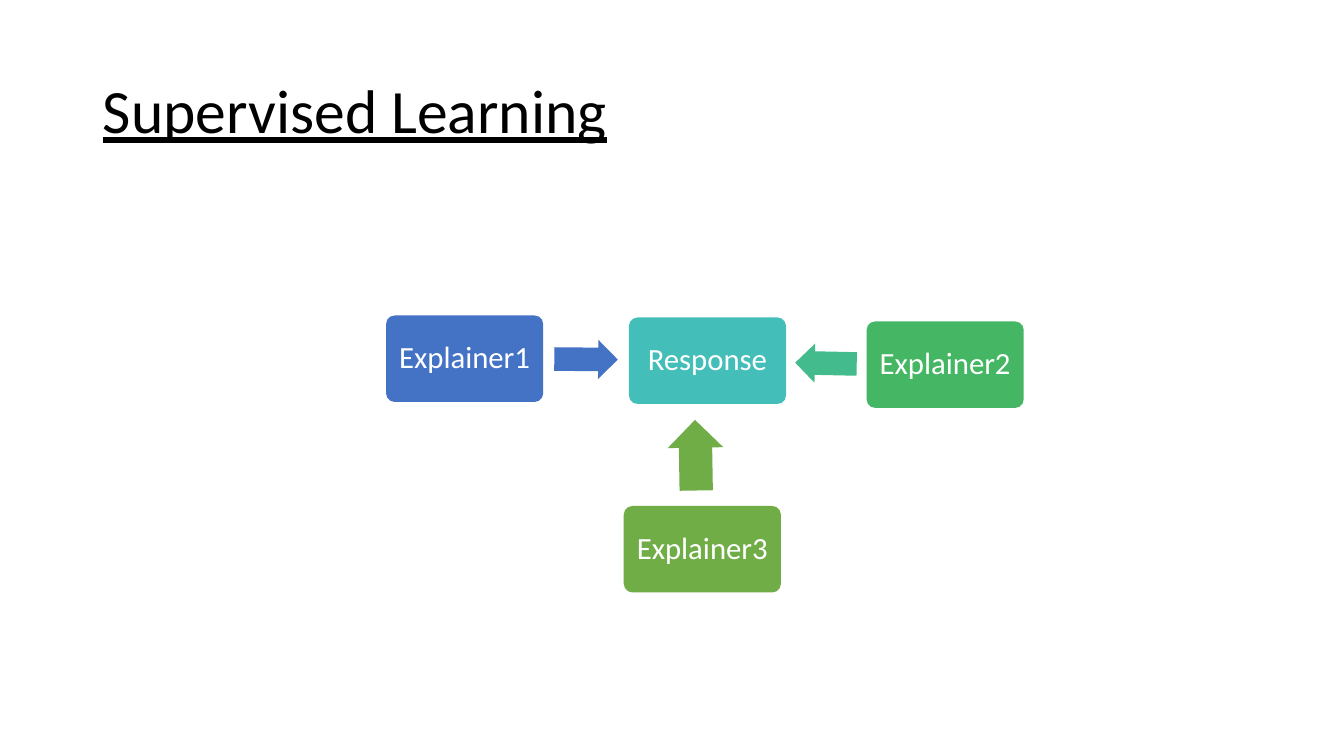
import pptx
import pptx.util
import pptx.dml.color
import pptx.enum.shapes
import pptx.enum.text

Cm, Pt = pptx.util.Cm, pptx.util.Pt
SHAPE = pptx.enum.shapes.MSO_SHAPE
ALIGN = pptx.enum.text.PP_ALIGN
MIDDLE = pptx.enum.text.MSO_ANCHOR.MIDDLE

TITLE = "Supervised Learning"
BOX_W, BOX_H = 3.96, 2.18
BOXES = [
    ("Explainer1", 9.73, 7.95, "4472C4"),
    ("Response", 15.85, 8.0, "43BEB9"),
    ("Explainer2", 21.84, 8.1, "45B664"),
    ("Explainer3", 15.72, 12.75, "70AD47"),
]
ARROWS = [
    (13.97, 8.56, 1.6, 0.99, 0.5, "4472C4"),
    (20.04, 8.66, 1.55, 0.99, 181.2, "43BB8D"),
    (16.64, 10.77, 1.78, 1.4, 269, "70AD47"),
]


def color(value):
    return pptx.dml.color.RGBColor.from_string(value)


def format_text(tf, text, size, hex_color, align):
    tf.text = text
    tf.word_wrap = True
    tf.auto_size = pptx.enum.text.MSO_AUTO_SIZE.NONE
    tf.vertical_anchor = MIDDLE
    p = tf.paragraphs[0]
    p.alignment = align
    p.line_spacing = 0.9
    p.font.name = "Calibri"
    p.font.size = Pt(size)
    p.font.color.rgb = color(hex_color)
    return p


def add_filled(s, kind, left, top, width, height, fill):
    sp = s.shapes.add_shape(kind, Cm(left), Cm(top), Cm(width), Cm(height))
    sp.shadow.inherit = False
    sp.fill.solid()
    sp.fill.fore_color.rgb = color(fill)
    sp.line.fill.background()
    return sp


def add_box(s, text, left, top, fill):
    sp = add_filled(s, SHAPE.ROUNDED_RECTANGLE, left, top, BOX_W, BOX_H, fill)
    sp.adjustments[0] = 0.1
    tf = sp.text_frame
    tf.margin_left = tf.margin_right = tf.margin_top = tf.margin_bottom = Cm(0.2)
    format_text(tf, text, 22, "FFFFFF", ALIGN.CENTER)


def add_arrow(s, left, top, width, height, rotation, fill):
    sp = add_filled(s, SHAPE.RIGHT_ARROW, left, top, width, height, fill)
    sp.adjustments[0] = 0.6
    sp.adjustments[1] = 0.5
    sp.rotation = rotation


def main():
    prs = pptx.Presentation()
    prs.slide_width, prs.slide_height = Cm(33.87), Cm(19.05)
    s = prs.slides.add_slide(prs.slide_layouts[5])
    title = s.shapes.title
    title.left, title.top, title.width, title.height = Cm(2.34), Cm(1.02), Cm(29.21), Cm(3.68)
    p = format_text(title.text_frame, TITLE, 44, "000000", ALIGN.LEFT)
    p.font.underline = True
    for box in BOXES:
        add_box(s, *box)
    for arrow in ARROWS:
        add_arrow(s, *arrow)
    prs.save("out.pptx")


if __name__ == "__main__":
    main()
